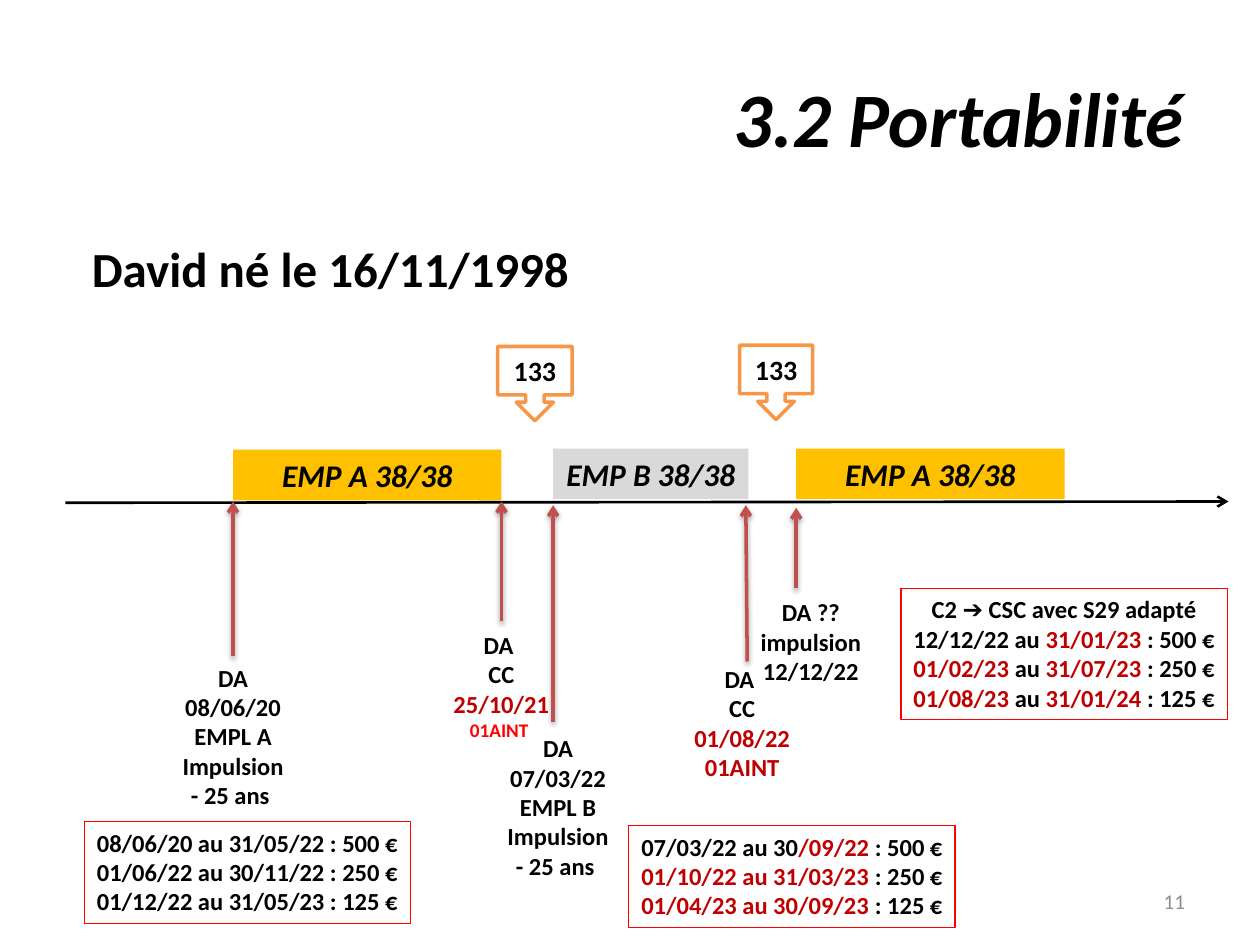
from dataclasses import dataclass

from lxml.etree import SubElement
from pptx import Presentation
from pptx.dml.color import RGBColor
from pptx.enum.shapes import MSO_CONNECTOR, MSO_SHAPE
from pptx.enum.text import MSO_ANCHOR, PP_ALIGN
from pptx.oxml.ns import qn
from pptx.util import Pt

BLACK, WHITE, RED, DARK_RED = "000000", "FFFFFF", "FF0000", "C00000"
AMBER, GREY, ORANGE, BRICK = "FFC000", "D9D9D9", "F79646", "C0504D"
BAR_FORMAT = {"size": Pt(18), "bold": True, "italic": True}
NOTE_FORMAT = {"size": Pt(14), "bold": True}
CALLOUT_FORMAT = {"size": Pt(16), "bold": True}


@dataclass
class Box:
    left: float
    top: float
    width: float
    height: float


@dataclass
class Para:
    """A line of text whose parts between asterisks take the accent colour."""
    text: str
    accent: str = DARK_RED
    size: float | None = None


@dataclass
class Arrow:
    x1: float
    y1: float
    x2: float
    y2: float


def rgb(value: str) -> RGBColor:
    return RGBColor.from_string(value)


def write(sp, paras: list[Para], fmt: dict, align=PP_ALIGN.CENTER,
          anchor=MSO_ANCHOR.TOP, color: str = BLACK, wrap: bool = True) -> None:
    tf = sp.text_frame
    tf.word_wrap = wrap
    tf.vertical_anchor = anchor
    for i, para in enumerate(paras):
        p = tf.paragraphs[0] if i == 0 else tf.add_paragraph()
        p.alignment = align
        for j, part in enumerate(para.text.split("*")):
            if not part:
                continue
            r = p.add_run()
            r.text = part
            r.font.name = "Calibri"
            for name, value in fmt.items():
                setattr(r.font, name, value)
            if para.size:
                r.font.size = Pt(para.size)
            r.font.color.rgb = rgb(para.accent if j % 2 else color)


def add_text(s, box: Box, paras: list[Para], fmt: dict, **layout) -> None:
    sp = s.shapes.add_textbox(Pt(box.left), Pt(box.top), Pt(box.width), Pt(box.height))
    write(sp, paras, fmt, **layout)


def add_box(s, kind, box: Box, paras: list[Para], fmt: dict, fill: str | None = None,
            line: str | None = None, weight: float = 0.75, **layout) -> None:
    sp = s.shapes.add_shape(kind, Pt(box.left), Pt(box.top), Pt(box.width), Pt(box.height))
    sp.shadow.inherit = False
    if fill:
        sp.fill.solid()
        sp.fill.fore_color.rgb = rgb(fill)
    else:
        sp.fill.background()
    if line:
        sp.line.color.rgb = rgb(line)
        sp.line.width = Pt(weight)
    else:
        sp.line.fill.background()
    write(sp, paras, fmt, **layout)


def add_arrow(s, arrow: Arrow, color: str, weight: float, shadow: bool = False) -> None:
    sp = s.shapes.add_connector(MSO_CONNECTOR.STRAIGHT, Pt(arrow.x1), Pt(arrow.y1),
                                Pt(arrow.x2), Pt(arrow.y2))
    sp.line.color.rgb = rgb(color)
    sp.line.width = Pt(weight)
    SubElement(sp.line._get_or_add_ln(), qn("a:tailEnd"), type="arrow")
    effects = SubElement(sp._element.spPr, qn("a:effectLst"))
    if shadow:
        outer = SubElement(effects, qn("a:outerShdw"), blurRad=str(Pt(3.1)),
                           dist=str(Pt(1.6)), dir="5400000", rotWithShape="0")
        shade = SubElement(outer, qn("a:srgbClr"), val=BLACK)
        SubElement(shade, qn("a:alpha"), val="38000")


def hire(date: str, employer: str) -> list[Para]:
    return [Para(f"DA {date}"), Para(employer), Para("Impulsion"), Para("- 25 ans ")]


PERIODS = [
    (Box(133.2, 257, 153.4, 29), "EMP A 38/38", AMBER),
    (Box(316.1, 256.3, 111.6, 29), "EMP B 38/38", GREY),
    (Box(455, 256.3, 153.4, 29), "EMP A 38/38", AMBER),
]
EVENT_ARROWS = [
    Arrow(133.2, 375.1, 133.2, 286.6),
    Arrow(286.6, 355, 286.6, 286.6),
    Arrow(316.1, 412.6, 316.1, 288.7),
    Arrow(427, 378, 426.2, 288.7),
    Arrow(455, 336.2, 455, 290.2),
]
EVENTS = [
    (Box(92.9, 375.1, 80.6, 92.2), hire("08/06/20", "EMPL A")),
    (Box(246.2, 356.4, 80.6, 71.3),
     [Para("DA "), Para("CC"), Para("*25/10/21*"), Para("*01AINT *", RED, 11)]),
    (Box(278.6, 415.4, 80.6, 92.2), hire("07/03/22", "EMPL B")),
    (Box(383.8, 375.8, 80.6, 88.6),
     [Para("DA "), Para("CC"), Para("*01/08/22*"), Para("*01AINT*")]),
    (Box(416.9, 337.7, 92.9, 71.3), [Para("DA ?? impulsion"), Para("12/12/22")]),
]
ALLOWANCES = [
    (Box(48.2, 469.4, 186.5, 58.3), [
        Para("08/06/20 au 31/05/22 : 500 €"),
        Para("01/06/22 au 30/11/22 : 250 €"),
        Para("01/12/22 au 31/05/23 : 125 €")]),
    (Box(359.3, 471.6, 186.5, 58.3), [
        Para("07/03/22 au 30*/09/22* : 500 €"),
        Para("*01/10/22 au 31/03/23 *: 250 €"),
        Para("*01/04/23 au 30/09/23 *: 125 €")]),
    (Box(514.8, 336.2, 186.5, 74.9), [
        Para("C2 ➔ CSC avec S29 adapté"),
        Para("12/12/22 au *31/01/23* : 500 €"),
        Para("*01/02/23* au *31/07/23 *: 250 €"),
        Para("*01/08/23 *au* 31/01/24 *: 125 €")]),
]
CALLOUTS = [Box(284.4, 198, 42.5, 42.5), Box(422.6, 197.3, 41.8, 42.5)]


def main() -> None:
    prs = Presentation()
    prs.slide_width, prs.slide_height = Pt(720), Pt(540)
    s = prs.slides.add_slide(prs.slide_layouts[6])

    add_text(s, Box(36, 21.6, 648, 90), [Para("3.2 Portabilité")],
             {"size": Pt(44), "bold": True, "italic": True},
             align=PP_ALIGN.RIGHT, anchor=MSO_ANCHOR.MIDDLE)
    add_text(s, Box(45.4, 132.5, 380.2, 41), [Para("David né le 16/11/1998")],
             {"size": Pt(28), "bold": True}, align=PP_ALIGN.LEFT)

    for box, label, fill in PERIODS:
        add_box(s, MSO_SHAPE.RECTANGLE, box, [Para(label)], BAR_FORMAT, fill=fill, wrap=False)
    add_arrow(s, Arrow(37.4, 287.3, 702, 286.6), BLACK, 1.5)
    for arrow in EVENT_ARROWS:
        add_arrow(s, arrow, BRICK, 2, shadow=True)
    for box, paras in EVENTS:
        add_text(s, box, paras, NOTE_FORMAT)
    for box, paras in ALLOWANCES:
        add_box(s, MSO_SHAPE.RECTANGLE, box, paras, NOTE_FORMAT, line=RED, wrap=False)
    for box in CALLOUTS:
        add_box(s, MSO_SHAPE.DOWN_ARROW_CALLOUT, box, [Para("133")], CALLOUT_FORMAT,
                fill=WHITE, line=ORANGE, weight=2, anchor=MSO_ANCHOR.MIDDLE)

    add_text(s, Box(516.2, 500.4, 168, 28.8), [Para("11")], {"size": Pt(12)},
             align=PP_ALIGN.RIGHT, anchor=MSO_ANCHOR.MIDDLE, color="8C8C8C")
    prs.save("out.pptx")


if __name__ == "__main__":
    main()
